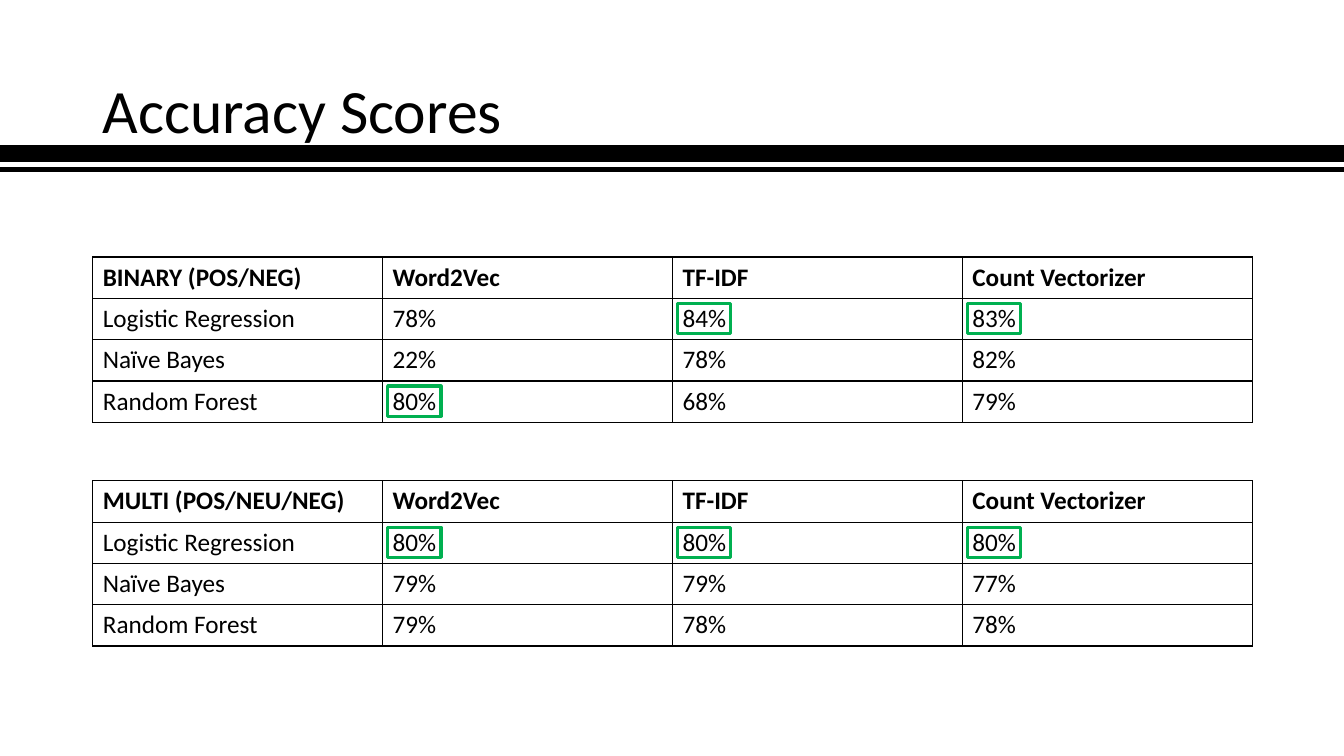
from lxml.etree import SubElement
from pptx import Presentation
from pptx.dml.color import RGBColor
from pptx.enum.shapes import MSO_CONNECTOR, MSO_SHAPE
from pptx.enum.text import MSO_ANCHOR
from pptx.oxml.ns import qn
from pptx.util import Inches, Pt

TITLE = "Accuracy Scores"
VECTORIZERS = ["Word2Vec", "TF-IDF", "Count Vectorizer"]
MODELS = ["Logistic Regression", "Naïve Bayes", "Random Forest"]
SCORE_TABLES = [
    ("BINARY (POS/NEG)", 2.55, [(78, 84, 83), (22, 78, 82), (80, 68, 79)]),
    ("MULTI (POS/NEU/NEG)", 4.77, [(80, 80, 80), (79, 79, 77), (79, 78, 78)]),
]
RULES = [(-0.15, 13.52, 1.52, 12), (-0.2, 13.68, 1.68, 4)]

FONT = "Calibri"
BLACK, WHITE, GREEN = "000000", "FFFFFF", "00B050"
LEFT, WIDTH = 0.92, 11.5
ROW_HEIGHT = 0.41
COLUMN_WIDTH = WIDTH / (len(VECTORIZERS) + 1)
MARK_WIDTH, MARK_HEIGHT, MARK_INSET = 0.53, 0.3, 0.05


def color(value):
    return RGBColor.from_string(value)


def style_text(paragraph, size, bold=False):
    paragraph.font.name = FONT
    paragraph.font.size = Pt(size)
    paragraph.font.bold = bold
    paragraph.font.color.rgb = color(BLACK)


def add_borders(cell):
    properties = cell._tc.get_or_add_tcPr()
    for position, side in enumerate(("a:lnL", "a:lnR", "a:lnT", "a:lnB")):
        border = SubElement(properties, qn(side), w=str(Pt(1)))
        fill = SubElement(border, qn("a:solidFill"))
        SubElement(fill, qn("a:srgbClr"), val=BLACK)
        properties.insert(position, border)


def add_title(slide):
    title = slide.shapes.add_textbox(Inches(LEFT), Inches(0.4), Inches(WIDTH), Inches(1.45))
    title.text_frame.word_wrap = True
    title.text_frame.vertical_anchor = MSO_ANCHOR.MIDDLE
    heading = title.text_frame.paragraphs[0]
    heading.text = TITLE
    heading.line_spacing = 0.9
    style_text(heading, 44)


def add_rule(slide, start, end, y, weight):
    rule = slide.shapes.add_connector(
        MSO_CONNECTOR.STRAIGHT, Inches(start), Inches(y), Inches(end), Inches(y))
    rule.line.color.rgb = color(BLACK)
    rule.line.width = Pt(weight)
    SubElement(rule._element.spPr, qn("a:effectLst"))


def add_score_table(slide, task, top, scores):
    rows = [[task, *VECTORIZERS]]
    rows += [[model, *(f"{score}%" for score in line)] for model, line in zip(MODELS, scores)]
    table = slide.shapes.add_table(
        len(rows), len(rows[0]), Inches(LEFT), Inches(top),
        Inches(WIDTH), Inches(ROW_HEIGHT * len(rows))).table
    table.horz_banding = False
    for r, row in enumerate(rows):
        table.rows[r].height = Inches(ROW_HEIGHT)
        for c, text in enumerate(row):
            cell = table.cell(r, c)
            cell.text = text
            cell.fill.solid()
            cell.fill.fore_color.rgb = color(WHITE)
            add_borders(cell)
            style_text(cell.text_frame.paragraphs[0], 18, bold=r == 0)


def mark_best_scores(slide, top, scores):
    for c, column in enumerate(zip(*scores), start=1):
        best_row = column.index(max(column)) + 1
        mark = slide.shapes.add_shape(
            MSO_SHAPE.RECTANGLE,
            Inches(LEFT + c * COLUMN_WIDTH + MARK_INSET),
            Inches(top + best_row * ROW_HEIGHT + MARK_INSET),
            Inches(MARK_WIDTH), Inches(MARK_HEIGHT))
        mark.shadow.inherit = False
        mark.fill.background()
        mark.line.color.rgb = color(GREEN)
        mark.line.width = Pt(2.25)


def main():
    deck = Presentation()
    deck.slide_width, deck.slide_height = Inches(13.33), Inches(7.5)
    slide = deck.slides.add_slide(deck.slide_layouts[6])
    add_title(slide)
    for rule in RULES:
        add_rule(slide, *rule)
    for task, top, scores in SCORE_TABLES:
        add_score_table(slide, task, top, scores)
        mark_best_scores(slide, top, scores)
    deck.save("out.pptx")


if __name__ == "__main__":
    main()
